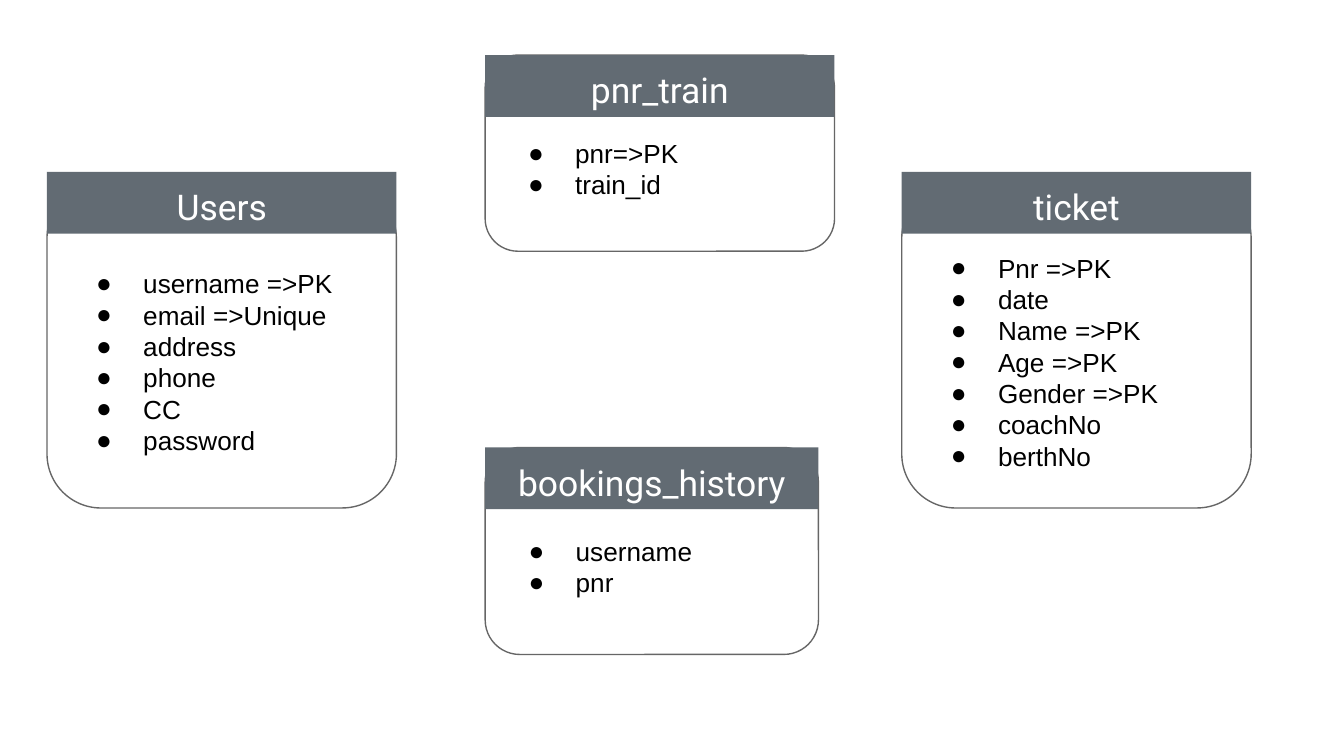
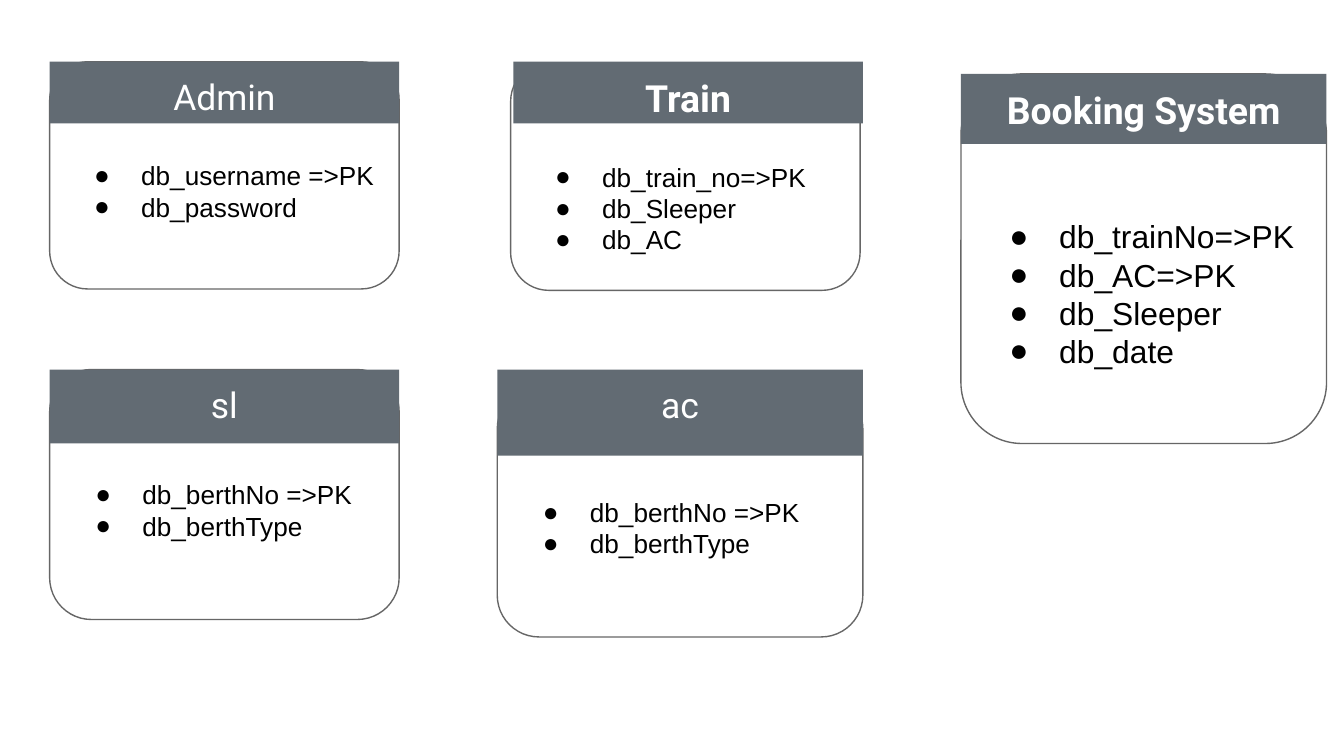
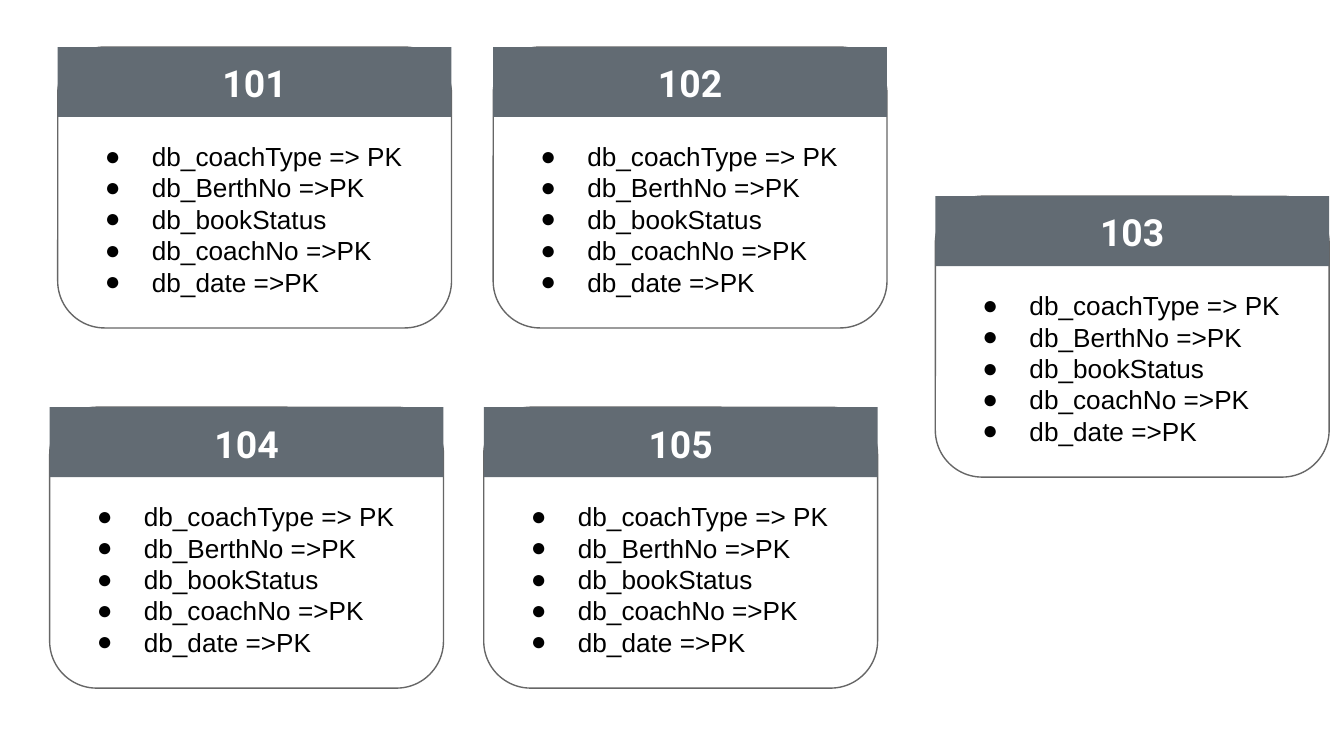
from dataclasses import dataclass

from lxml.etree import SubElement
from pptx import Presentation
from pptx.dml.color import RGBColor
from pptx.enum.shapes import MSO_SHAPE as Shape
from pptx.enum.text import MSO_ANCHOR as Anchor, PP_ALIGN as Align
from pptx.oxml.ns import qn
from pptx.util import Inches, Pt


@dataclass(frozen=True)
class Theme:
    header_fill: str = "626B73"
    header_text: str = "FFFFFF"
    body_fill: str = "FFFFFF"
    body_text: str = "000000"
    outline: str = "666666"
    outline_width: float = 0.75
    header_font: str = "Roboto"
    body_font: str = "Arial"
    header_size: int = 19
    bold_header_size: int = 20
    body_size: int = 14
    large_body_size: int = 17
    line_height: float = 1.2
    corner: float = 0.167
    margin: float = 0.1


class SchemaDeck:
    def __init__(self, theme):
        self.theme = theme
        self.presentation = Presentation()
        self.presentation.slide_width = Inches(10)
        self.presentation.slide_height = Inches(10 * 9 / 16)
        self.slide = None

    def new_slide(self):
        blank = self.presentation.slide_layouts[6]
        self.slide = self.presentation.slides.add_slide(blank)

    def panel(self, kind, left, top, width, height, fill, anchor):
        shape = self.slide.shapes.add_shape(
            kind, Inches(left), Inches(top), Inches(width), Inches(height))
        shape.shadow.inherit = False
        shape.fill.solid()
        shape.fill.fore_color.rgb = RGBColor.from_string(fill)
        shape.line.fill.background()
        frame = shape.text_frame
        frame.word_wrap = True
        frame.vertical_anchor = anchor
        margin = Inches(self.theme.margin)
        frame.margin_left = frame.margin_right = margin
        frame.margin_top = frame.margin_bottom = margin
        return shape

    def run(self, paragraph, text, font, size, color, bold=False):
        run = paragraph.add_run()
        run.text = text
        run.font.name = font
        run.font.size = Pt(size)
        run.font.bold = bold
        run.font.color.rgb = RGBColor.from_string(color)

    def bullet(self, paragraph, hanging):
        properties = paragraph._p.get_or_add_pPr()
        properties.set("marL", str(Inches(0.5)))
        properties.set("indent", str(-Inches(hanging)))
        color = SubElement(properties, qn("a:buClr"))
        SubElement(color, qn("a:srgbClr")).set("val", self.theme.body_text)
        SubElement(properties, qn("a:buFont")).set("typeface", self.theme.body_font)
        SubElement(properties, qn("a:buChar")).set("char", "●")

    def header(self, title, left, top, width, height, bold):
        theme = self.theme
        shape = self.panel(Shape.RECTANGLE, left, top, width, height,
                           theme.header_fill, Anchor.TOP)
        paragraph = shape.text_frame.paragraphs[0]
        paragraph.alignment = Align.CENTER
        size = theme.bold_header_size if bold else theme.header_size
        self.run(paragraph, title, theme.header_font, size, theme.header_text, bold)

    def body(self, fields, left, top, width, height, large, gap):
        theme = self.theme
        shape = self.panel(Shape.ROUNDED_RECTANGLE, left, top, width, height,
                           theme.body_fill, Anchor.MIDDLE)
        shape.adjustments[0] = theme.corner
        shape.line.color.rgb = RGBColor.from_string(theme.outline)
        shape.line.width = Pt(theme.outline_width)
        frame = shape.text_frame
        frame.margin_top = Inches(theme.margin) + Pt(gap * theme.line_height)
        size = theme.large_body_size if large else theme.body_size
        for index, field in enumerate(fields):
            paragraph = frame.add_paragraph() if index else frame.paragraphs[0]
            paragraph.alignment = Align.LEFT
            self.bullet(paragraph, 0.37 if large else 0.35)
            self.run(paragraph, field, theme.body_font, size, theme.body_text)

    def entity(self, title, fields, left, top, width, height, header_height=0.46,
               bold=False, large=False, shift=0, drop=0):
        size = self.theme.large_body_size if large else self.theme.body_size
        gap = size + (self.theme.body_size if bold else 0)
        self.body(fields, left + shift, top + drop, width, height, large, gap)
        self.header(title, left, top, width, header_height, bold)


deck = SchemaDeck(Theme())

deck.new_slide()
deck.entity("Users", ["username =>PK", "email =>Unique", "address", "phone", "CC",
                      "password"], 0.35, 1.28, 2.6, 2.41, drop=0.09)
deck.entity("pnr_train", ["pnr=>PK", "train_id"], 3.61, 0.41, 2.6, 1.46)
deck.entity("ticket", ["Pnr =>PK", "date", "Name =>PK", "Age =>PK", "Gender =>PK",
                       "coachNo", "berthNo"], 6.71, 1.28, 2.6, 2.41, drop=0.09)
deck.entity("bookings_history", ["username ", "pnr"], 3.61, 3.33, 2.48, 1.54)

deck.new_slide()
berth_fields = ["db_berthNo =>PK", "db_berthType"]
deck.entity("Admin", ["db_username =>PK", "db_password"], 0.37, 0.46, 2.6, 1.69)
deck.entity("Train", ["db_train_no=>PK", "db_Sleeper", "db_AC"],
            3.82, 0.46, 2.6, 1.69, bold=True, shift=-0.02, drop=0.01)
deck.entity("Booking System", ["db_trainNo=>PK", "db_AC=>PK", "db_Sleeper", "db_date"],
            7.15, 0.55, 2.72, 2.75, header_height=0.52, bold=True, large=True)
deck.entity("sl", berth_fields, 0.37, 2.75, 2.6, 1.86, header_height=0.55)
deck.entity("ac", berth_fields, 3.7, 2.75, 2.72, 1.86, header_height=0.64, drop=0.13)

deck.new_slide()
coach_fields = ["db_coachType => PK", "db_BerthNo =>PK", "db_bookStatus ",
                "db_coachNo =>PK", "db_date =>PK"]
train_places = {"101": (0.43, 0.35), "102": (3.67, 0.35), "103": (6.96, 1.46),
                "104": (0.37, 3.03), "105": (3.6, 3.03)}
for number, (left, top) in train_places.items():
    deck.entity(number, coach_fields, left, top, 2.93, 2.09,
                header_height=0.52, bold=True)

deck.presentation.save("out.pptx")
